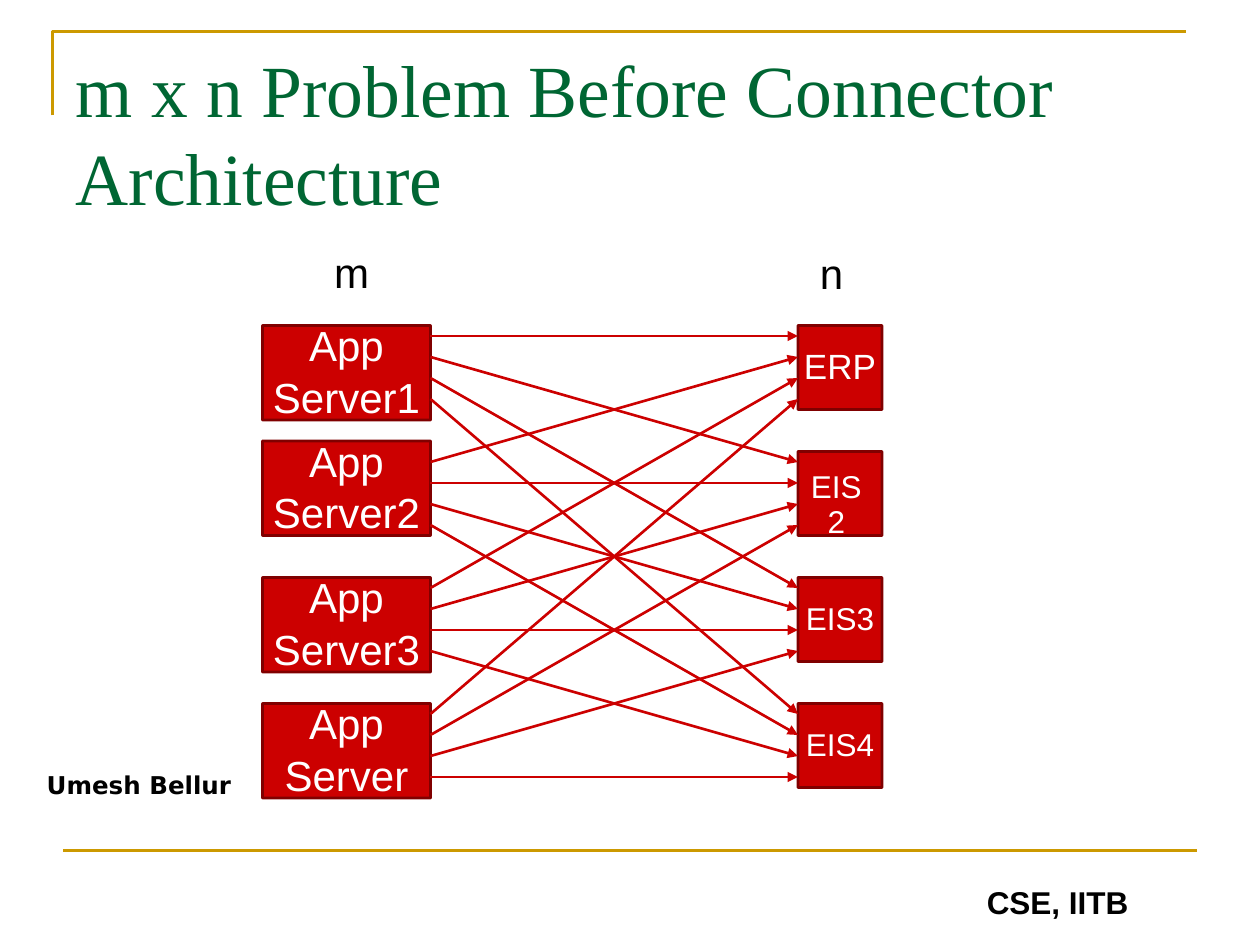
from itertools import product
from pptx import Presentation
from pptx.dml.color import RGBColor
from pptx.enum.shapes import MSO_CONNECTOR, MSO_SHAPE
from pptx.enum.text import MSO_ANCHOR, PP_ALIGN
from pptx.oxml.ns import qn
from pptx.util import Inches, Pt
from lxml import etree

STRAIGHT = MSO_CONNECTOR.STRAIGHT
BOX = MSO_SHAPE.ROUNDED_RECTANGLE
LEFT, CENTER = PP_ALIGN.LEFT, PP_ALIGN.CENTER
TOP, MIDDLE = MSO_ANCHOR.TOP, MSO_ANCHOR.MIDDLE
RED, MAROON, GOLD, GREEN = "CC0000", "800000", "CC9900", "006633"
BLACK, WHITE = "000000", "FFFFFF"
CELL = 1 / 12
PITCH = 12
STEP = 2


def grid(*cells):
    return [Inches(c * CELL) for c in cells]


def color(value):
    return RGBColor.from_string(value)


def outline(sp, value):
    sp.line.color.rgb = color(value)
    sp.line.width = Pt(1.5)


def set_text(sp, text, size, value, font="Arial", bold=False, align=CENTER,
             anchor=MIDDLE, margins=(0.1, 0.05, 0.1, 0.05), wrap=True):
    tf = sp.text_frame
    tf.text = text
    tf.word_wrap = wrap
    tf.vertical_anchor = anchor
    tf.margin_left, tf.margin_top, tf.margin_right, tf.margin_bottom = map(Inches, margins)
    for p in tf.paragraphs:
        p.alignment = align
        for r in p.runs:
            r.font.name, r.font.size, r.font.bold = font, Pt(size), bold
            r.font.color.rgb = color(value)
    return tf


def add_label(s, box, text, size, **style):
    sp = s.shapes.add_textbox(*grid(*box))
    return set_text(sp, text, size, BLACK, **style)


def add_line(s, ends, value, arrow=False):
    c = s.shapes.add_connector(STRAIGHT, *grid(*ends))
    outline(c, value)
    pr = c._element.spPr
    if arrow:
        etree.SubElement(pr.find(qn("a:ln")), qn("a:tailEnd"), type="triangle")
    etree.SubElement(pr, qn("a:effectLst"))


def add_node(s, box, text, size, **style):
    sp = s.shapes.add_shape(BOX, *grid(*box))
    sp.adjustments[0] = 0.002
    sp.shadow.inherit = False
    sp.fill.solid()
    sp.fill.fore_color.rgb = color(RED)
    outline(sp, MAROON)
    tf = set_text(sp, text, size, WHITE, **style)
    tf.paragraphs[0].line_spacing = 0.93


def add_frame(s, left, top, width, height):
    x, y, right, bottom = grid(left, top, left + width, top + height)
    fb = s.shapes.build_freeform(x, bottom)
    fb.add_line_segments([(x, y), (right, y)], close=False)
    sp = fb.convert_to_shape()
    sp.shadow.inherit = False
    sp.fill.background()
    outline(sp, GOLD)
    add_line(s, (6, 81, 114, 81), GOLD)


def add_title(s, box, text):
    sp = s.shapes.title
    sp.left, sp.top, sp.width, sp.height = grid(*box)
    set_text(sp, text, 42, GREEN, font="Times New Roman", align=LEFT, anchor=TOP)


def add_mesh(s, left, top, width):
    server_w, system_w = 16, 8
    system_x = left + width - system_w
    servers = [("Server1", 0), ("Server2", 11), ("Server3", 24), ("Server", 36)]
    for name, row in servers:
        add_node(s, (left, top + row, server_w, 9), "App\n" + name, 24, wrap=False)
    narrow = {"margins": (0.04, 0.15, 0.1, 0), "anchor": TOP}
    plain = {"wrap": False}
    systems = [("ERP", 20, plain), ("EIS2", 18, narrow), ("EIS3", 18, plain), ("EIS4", 18, plain)]
    for i, (name, size, style) in enumerate(systems):
        add_node(s, (system_x, top + i * PITCH, system_w, 8), name, size, **style)
    for i, j in product(range(len(servers)), range(len(systems))):
        start = top + 1 + i * PITCH + j * STEP
        end = top + 1 + j * PITCH + i * STEP
        add_line(s, (left + server_w, start, system_x, end), RED, arrow=True)
    for name, x, y in [("m", left + 4, top - 7.7), ("n", system_x - 1.3, top - 7.6)]:
        tf = add_label(s, (x, y, 9, 5.6), name, 24, anchor=TOP)
        tf.paragraphs[0].line_spacing = 0.93


def add_credits(s):
    add_label(s, (0, 71.7, 30, 6), "Umesh Bellur", 14, font="DejaVu Sans", bold=True,
              align=LEFT, margins=(0.37, 0.05, 0.1, 0.05))
    add_label(s, (92.8, 83.5, 18, 4.8), "CSE, IITB", 18, bold=True, align=LEFT, anchor=TOP)


def main():
    prs = Presentation()
    prs.slide_width, prs.slide_height = grid(120, 90)
    s = prs.slides.add_slide(prs.slide_layouts[5])
    add_frame(s, 5, 3, 108, 8)
    add_title(s, (6, 3.6, 108, 10.3), "m x n Problem Before Connector Architecture")
    add_mesh(s, 25, 31, 59)
    add_credits(s)
    prs.save("out.pptx")


if __name__ == "__main__":
    main()
